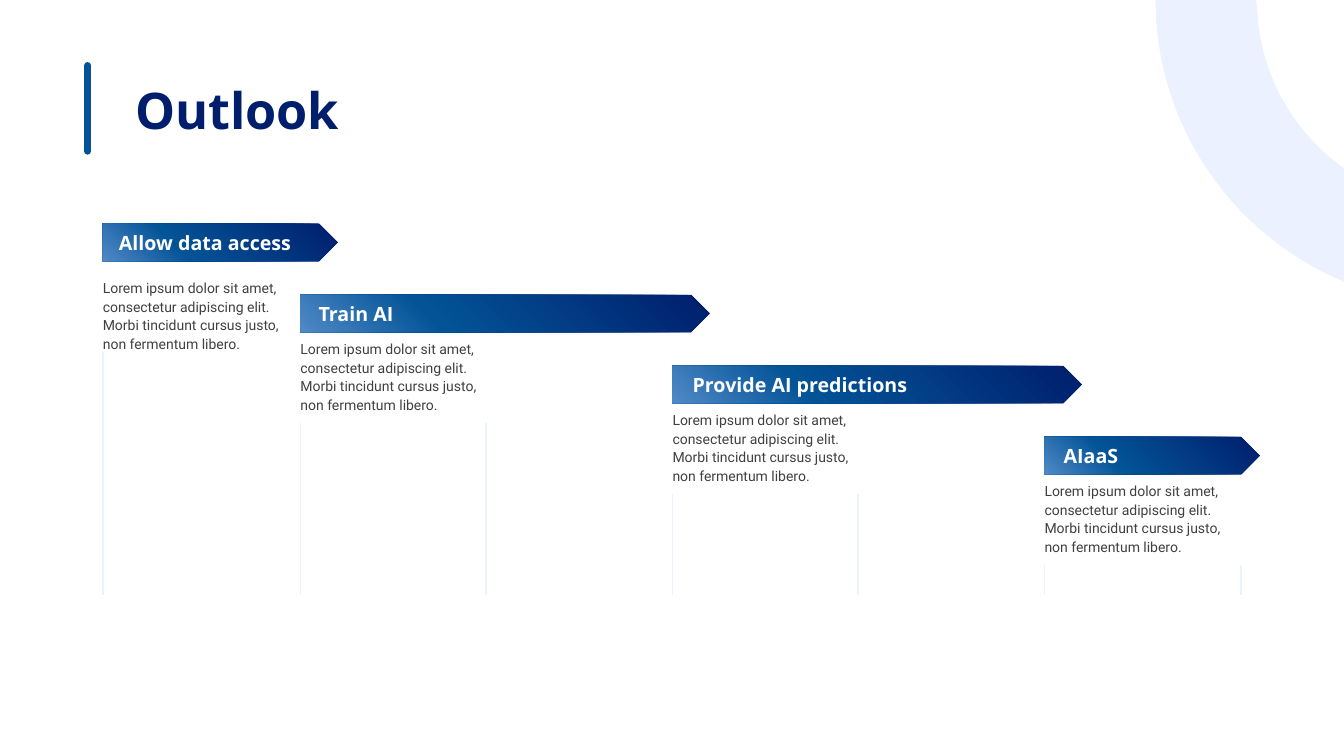
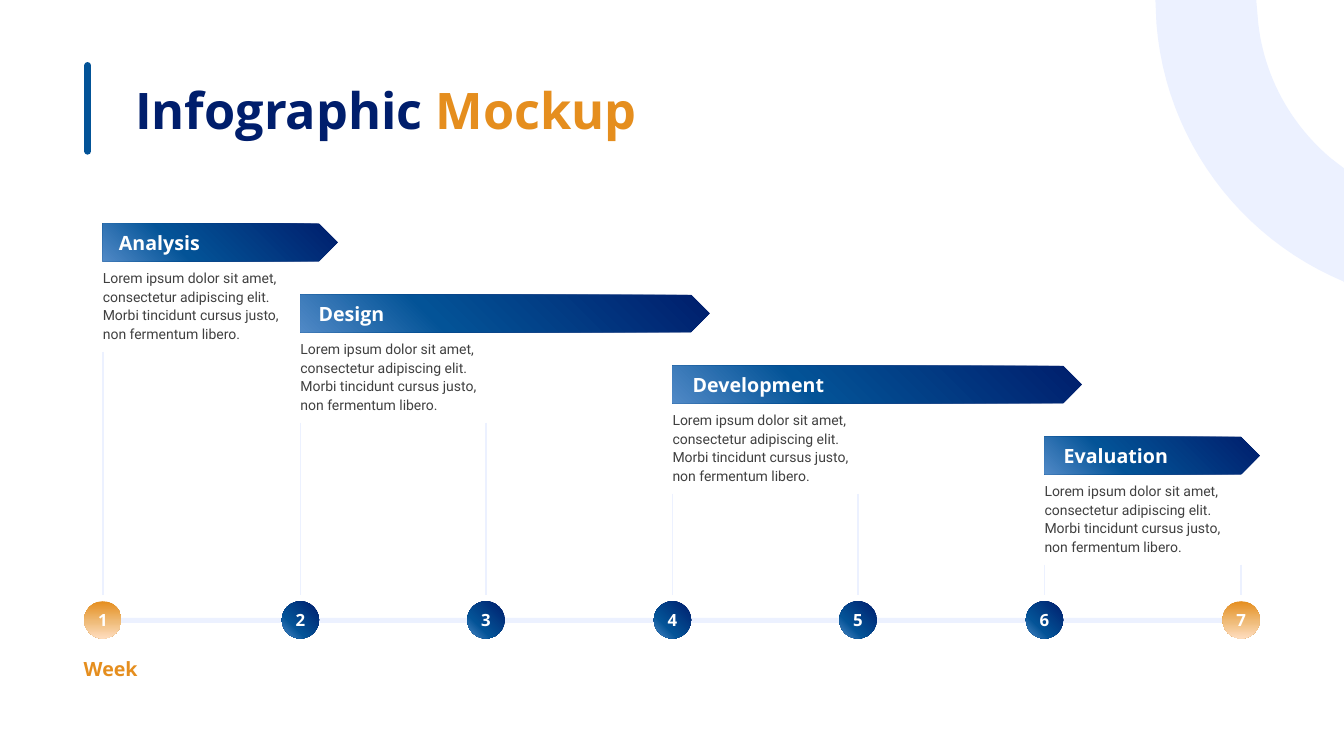
from lxml.etree import SubElement
from pptx import Presentation
from pptx.dml.color import RGBColor
from pptx.enum.shapes import MSO_CONNECTOR as CONN, MSO_SHAPE as SHAPE
from pptx.enum.text import MSO_ANCHOR as ANCHOR, PP_ALIGN as ALIGN
from pptx.oxml.ns import qn
from pptx.util import Inches, Pt

NAVY, BLUE, ORANGE = "001E6C", "035397", "E58E1E"
PALE, GREY, WHITE = "ECF1FF", "404040", "FFFFFF"
HEAD, BODY = "Open Sans", "Roboto"
BLUE_FADE = ([(0, NAVY), (67, BLUE), (100, "5089C6")], 135)
ORANGE_FADE = ([(0, ORANGE), (55, "EFBB78"), (100, "FFDDBF")], 90)
LOREM = ("Lorem ipsum dolor sit amet, consectetur adipiscing elit. "
         "Morbi tincidunt cursus justo, non fermentum libero.")

WEEKS = [1.02, 2.98, 4.82, 6.67, 8.51, 10.36, 12.31]
STEPS = [(0, 1, 0.16), (1, 3, 0.18), (3, 5, 0.2), (5, 6, 0.19)]
STEP_TOP, STEP_PITCH, BAR_H = 2.22, 0.705, 0.37
GUIDE_END, DOT = 5.9, 0.37


def color(hex_text):
    """Turn a hex string into a colour."""
    return RGBColor.from_string(hex_text)


def write(tf, runs, size, font=HEAD, bold=True, anchor=ANCHOR.BOTTOM,
          align=ALIGN.LEFT, spacing=None, wrap=True):
    """Fill a frame with one paragraph of (text, colour) runs."""
    tf.margin_left = tf.margin_right = tf.margin_top = tf.margin_bottom = 0
    tf.word_wrap, tf.vertical_anchor = wrap, anchor
    p = tf.paragraphs[0]
    p.alignment, p.line_spacing = align, spacing
    for text, hex_text in runs:
        r = p.add_run()
        r.text = text
        r.font.name, r.font.size, r.font.bold = font, Pt(size), bold
        r.font.color.rgb = color(hex_text)


def add_text(s, x, y, w, h, runs, size, **style):
    """Add a text box."""
    box = s.shapes.add_textbox(Inches(x), Inches(y), Inches(w), Inches(h))
    write(box.text_frame, runs, size, **style)


def paint(sp, hex_text):
    """Give a shape a flat fill without outline or shadow."""
    sp.shadow.inherit = False
    sp.line.fill.background()
    sp.fill.solid()
    sp.fill.fore_color.rgb = color(hex_text)


def fade(sp, stops, angle):
    """Give a shape a linear gradient, with the angle clockwise."""
    sp.shadow.inherit = False
    sp.line.fill.background()
    sp.fill.gradient()
    sp.fill.gradient_angle = 360 - angle
    stop_list = sp._element.spPr.find(qn("a:gradFill")).find(qn("a:gsLst"))
    for old in list(stop_list):
        stop_list.remove(old)
    for position, hex_text in stops:
        stop = SubElement(stop_list, qn("a:gs"), pos=str(position * 1000))
        SubElement(stop, qn("a:srgbClr"), val=hex_text)


def add_shape(s, kind, x, y, w, h):
    """Add a preset shape."""
    return s.shapes.add_shape(kind, Inches(x), Inches(y), Inches(w), Inches(h))


def add_vertical(s, x, top, bottom, hex_text, width):
    """Add a vertical line and return it."""
    line = s.shapes.add_connector(CONN.STRAIGHT, Inches(x), Inches(top),
                                  Inches(x), Inches(bottom))
    line.line.color.rgb = color(hex_text)
    line.line.width = Pt(width)
    SubElement(line._element.spPr, qn("a:effectLst"))
    return line


def curve(a, b, c, d, count=24):
    """List points along a cubic curve."""
    def at(t, i):
        u = 1 - t
        return (u ** 3 * a[i] + 3 * u * u * t * b[i]
                + 3 * u * t * t * c[i] + t ** 3 * d[i])
    return [(at(k / count, 0), at(k / count, 1)) for k in range(count + 1)]


def add_ring(s, x, y):
    """Add the pale ring segment that fills the top right corner."""
    inner = curve((1.02, 0.23), (1.08, 0.77), (1.35, 1.24), (1.74, 1.57))
    outer = curve((1.86, 2.79), (0.84, 2.36), (0.1, 1.39), (0.01, 0.23))
    points = [(1, 0), *inner, (1.87, 1.67), (1.87, 2.8), *outer]
    outline = s.shapes.build_freeform(Inches(x), Inches(y))
    outline.add_line_segments([(Inches(x + px), Inches(y + py))
                               for px, py in points], close=True)
    paint(outline.convert_to_shape(), PALE)


def add_step(s, x, top, width, label, indent, body_gap):
    """Add an arrow bar with its label and the paragraph below it."""
    fade(add_shape(s, SHAPE.PENTAGON, x, top, width, BAR_H), *BLUE_FADE)
    add_text(s, x + indent, top + 0.07, width - 0.36, 0.23,
             [(label, WHITE)], 14)
    add_text(s, x, top + body_gap, 1.79, 0.7, [(LOREM, GREY)], 10, font=BODY,
             bold=False, anchor=ANCHOR.TOP, spacing=1.1)


def add_timeline(s, y):
    """Add the track, the week dots centred on it and the caption."""
    paint(add_shape(s, SHAPE.RECTANGLE, 1.01, y - 0.02, 11.35, 0.05), PALE)
    for number, x in enumerate(WEEKS, 1):
        dot = add_shape(s, SHAPE.OVAL, x - DOT / 2, y - DOT / 2, DOT, DOT)
        fade(dot, *(ORANGE_FADE if number in (1, len(WEEKS)) else BLUE_FADE))
        write(dot.text_frame, [(str(number), WHITE)], 12,
              anchor=ANCHOR.MIDDLE, align=ALIGN.CENTER, wrap=False)
    add_text(s, 0.83, y + 0.35, 2.79, 0.25, [("Week", ORANGE)], 14)


def add_roadmap(prs, title, labels, first_gap=0.44, timeline=False):
    """Add a slide with a title and four staggered steps."""
    s = prs.slides.add_slide(prs.slide_layouts[6])
    add_ring(s, 11.46, 0)
    add_text(s, 1.34, 0.71, 9.07, 0.83, title, 36,
             anchor=ANCHOR.MIDDLE, spacing=0.9)
    accent = add_vertical(s, 0.87, 0.65, 1.5, BLUE, 5)
    accent.line._get_or_add_ln().set("cap", "rnd")
    for i, (label, (start, end, indent)) in enumerate(zip(labels, STEPS)):
        top = STEP_TOP + i * STEP_PITCH
        last = end == len(WEEKS) - 1
        width = WEEKS[end] - WEEKS[start] + (DOT / 2 if last else DOT)
        add_step(s, WEEKS[start], top, width, label, indent,
                 0.44 if i else first_gap)
        for x in WEEKS[start:end + last]:
            add_vertical(s, x, top + 1.27, GUIDE_END, PALE, 1)
    if timeline:
        add_timeline(s, 6.15)


def main():
    """Build and save the presentation."""
    prs = Presentation()
    prs.slide_width, prs.slide_height = Inches(13.33), Inches(7.5)
    add_roadmap(prs, [("Outlook", NAVY)],
                ["Allow data access", "Train AI", "Provide AI predictions",
                 "AIaaS"], first_gap=0.54)
    add_roadmap(prs, [("Infographic ", NAVY), ("Mockup", ORANGE)],
                ["Analysis", "Design", "Development", "Evaluation"],
                timeline=True)
    prs.save("out.pptx")


if __name__ == "__main__":
    main()
